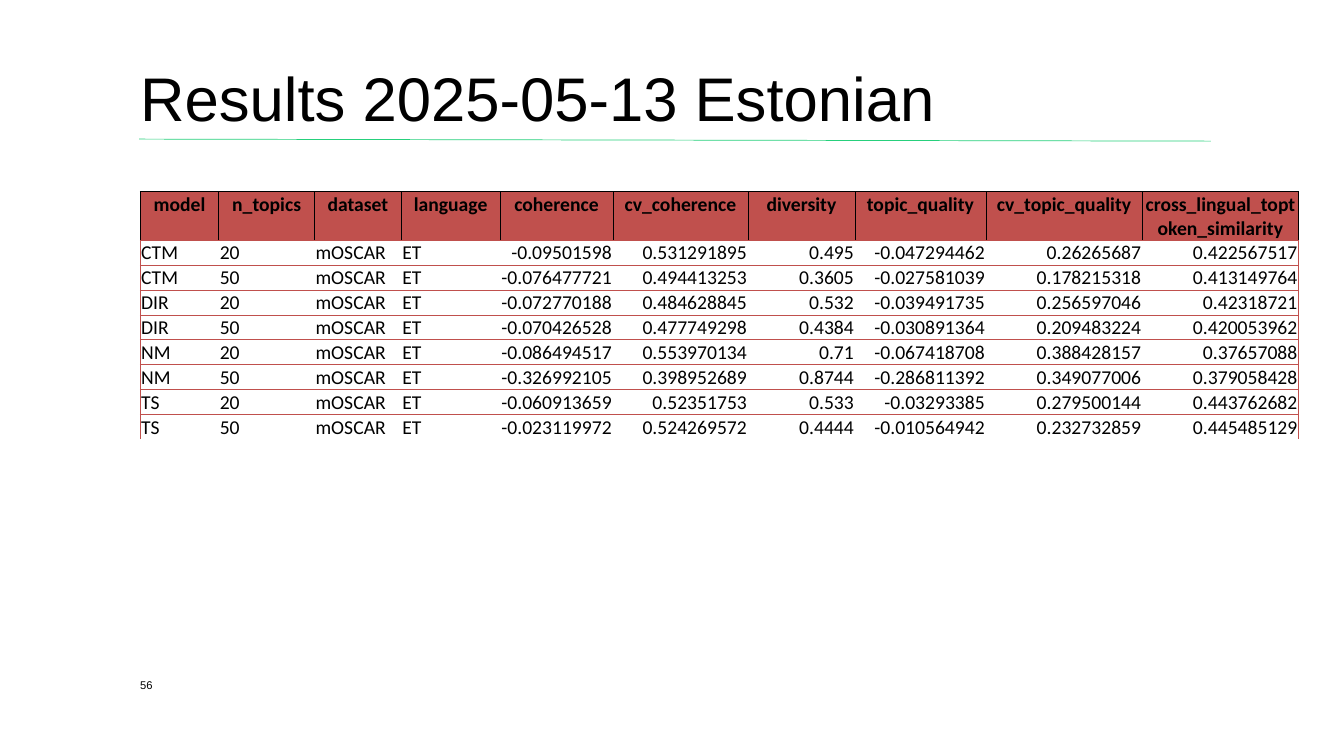
from dataclasses import dataclass
from typing import Any

from lxml.etree import SubElement
from pptx import Presentation
from pptx.dml.color import RGBColor
from pptx.enum.shapes import MSO_CONNECTOR
from pptx.enum.text import MSO_ANCHOR, MSO_AUTO_SIZE, PP_ALIGN
from pptx.oxml.ns import qn
from pptx.util import Emu, Pt

PX = 9144  # EMU per px, 100 px to the inch
COLORS = {"text": "000000", "header": "C0504D", "rule": "26D07C"}
PLAIN_TABLE_STYLE = "{2D5ABB26-0587-4C30-8999-92F81FD0307C}"
LEFT = 139
LINE_WIDTH = Pt(0.5)

COLUMNS = {
    "model": 78, "n_topics": 95, "dataset": 86, "language": 98,
    "coherence": 112, "cv_coherence": 134, "diversity": 106,
    "topic_quality": 130, "cv_topic_quality": 155,
    "cross_lingual_toptoken_similarity": 155,
}
LABEL_COLUMNS = 4
ROW_HEIGHT = 24
MODELS = ("CTM", "DIR", "NM", "TS")
TOPIC_COUNTS = ("20", "50")
SCORES = (
    ("-0.09501598", "0.531291895", "0.495", "-0.047294462", "0.26265687", "0.422567517"),
    ("-0.076477721", "0.494413253", "0.3605", "-0.027581039", "0.178215318", "0.413149764"),
    ("-0.072770188", "0.484628845", "0.532", "-0.039491735", "0.256597046", "0.42318721"),
    ("-0.070426528", "0.477749298", "0.4384", "-0.030891364", "0.209483224", "0.420053962"),
    ("-0.086494517", "0.553970134", "0.71", "-0.067418708", "0.388428157", "0.37657088"),
    ("-0.326992105", "0.398952689", "0.8744", "-0.286811392", "0.349077006", "0.379058428"),
    ("-0.060913659", "0.52351753", "0.533", "-0.03293385", "0.279500144", "0.443762682"),
    ("-0.023119972", "0.524269572", "0.4444", "-0.010564942", "0.232732859", "0.445485129"),
)


@dataclass(frozen=True)
class TextStyle:
    size: int
    name: str = "Arial"
    bold: bool = False
    alignment: Any = PP_ALIGN.LEFT
    line_spacing: float = 1.0


@dataclass(frozen=True)
class TextBlock:
    text: str
    left: int
    top: int
    width: int
    height: int
    style: TextStyle


TITLE = TextBlock("Results 2025-05-13 Estonian", LEFT, 40, 1062, 94,
                  TextStyle(44, line_spacing=0.9))
PAGE_NUMBER = TextBlock("56", LEFT, 660, 50, 26, TextStyle(8))


def px(length: int) -> Emu:
    return Emu(length * PX)


def rgb(color: str) -> RGBColor:
    return RGBColor.from_string(COLORS[color])


def set_attributes(target: Any, values: dict[str, Any]) -> None:
    for name, value in values.items():
        setattr(target, name, value)


def write_text(frame: Any, text: str, style: TextStyle) -> None:
    para = frame.paragraphs[0]
    set_attributes(para, {"alignment": style.alignment, "line_spacing": style.line_spacing})
    span = para.add_run()
    span.text = text
    set_attributes(span.font, {"size": Pt(style.size), "name": style.name, "bold": style.bold})
    span.font.color.rgb = rgb("text")


def fill_box(box: Any, block: TextBlock) -> None:
    """Place a text box or placeholder and write its text from the bottom up."""
    set_attributes(box, {side: px(getattr(block, side))
                         for side in ("left", "top", "width", "height")})
    set_attributes(box.text_frame, {
        "margin_left": 0, "margin_top": 0, "margin_right": 0, "margin_bottom": 0,
        "word_wrap": True, "auto_size": MSO_AUTO_SIZE.NONE,
        "vertical_anchor": MSO_ANCHOR.BOTTOM,
    })
    write_text(box.text_frame, block.text, block.style)


def add_rule(page: Any) -> None:
    rule = page.shapes.add_connector(
        MSO_CONNECTOR.STRAIGHT, px(138), px(138), px(1201), px(140))
    rule.line.color.rgb = rgb("rule")
    rule.line.width = LINE_WIDTH
    SubElement(rule.element.spPr, qn("a:effectLst"))


def set_borders(cell: Any, borders: dict[str, str]) -> None:
    """Draw the given sides (L, R, T, B, in that order) in the named colours."""
    properties = cell._tc.get_or_add_tcPr()
    for side, color in borders.items():
        line = SubElement(properties, qn(f"a:ln{side}"), w=str(LINE_WIDTH))
        fill = SubElement(line, qn("a:solidFill"))
        SubElement(fill, qn("a:srgbClr"), val=COLORS[color])


def body_borders(row: int, column: int) -> dict[str, str]:
    shown = {"L": column == 0, "R": column == len(COLUMNS) - 1,
             "T": True, "B": row < len(SCORES)}
    return {side: "header" for side, visible in shown.items() if visible}


def format_cell(cell: Any, text: str, row: int, column: int) -> None:
    is_header = row == 0
    if is_header:
        alignment = PP_ALIGN.CENTER
        set_borders(cell, {"L": "text", "R": "text", "T": "text", "B": "header"})
        cell.fill.solid()
        cell.fill.fore_color.rgb = rgb("header")
    else:
        alignment = PP_ALIGN.LEFT if column < LABEL_COLUMNS else PP_ALIGN.RIGHT
        set_borders(cell, body_borders(row, column))
        cell.fill.background()
    set_attributes(cell, {
        "margin_left": px(1), "margin_right": px(1), "margin_top": px(1), "margin_bottom": 0,
        "vertical_anchor": MSO_ANCHOR.TOP if is_header else MSO_ANCHOR.BOTTOM,
    })
    write_text(cell.text_frame, text, TextStyle(14, "Calibri", is_header, alignment))


def add_results_table(page: Any) -> None:
    labels = [(model, count, "mOSCAR", "ET") for model in MODELS for count in TOPIC_COUNTS]
    rows = [tuple(COLUMNS)] + [label + score for label, score in zip(labels, SCORES)]
    frame = page.shapes.add_table(
        len(rows), len(COLUMNS), px(LEFT), px(190),
        px(sum(COLUMNS.values())), px(ROW_HEIGHT * len(rows)))
    frame.element.find(f".//{qn('a:tableStyleId')}").text = PLAIN_TABLE_STYLE
    table = frame.table
    table.horz_banding = False
    for column, width in zip(table.columns, COLUMNS.values()):
        column.width = px(width)
    for row, texts in enumerate(rows):
        table.rows[row].height = px(ROW_HEIGHT)
        for column, text in enumerate(texts):
            format_cell(table.cell(row, column), text, row, column)


def main() -> None:
    deck = Presentation()
    set_attributes(deck, {"slide_width": px(1333), "slide_height": px(750)})
    page = deck.slides.add_slide(deck.slide_layouts.get_by_name("Title Only"))
    add_rule(page)
    fill_box(page.shapes.title, TITLE)
    fill_box(page.shapes.add_textbox(0, 0, 0, 0), PAGE_NUMBER)
    add_results_table(page)
    deck.save("out.pptx")


if __name__ == "__main__":
    main()
